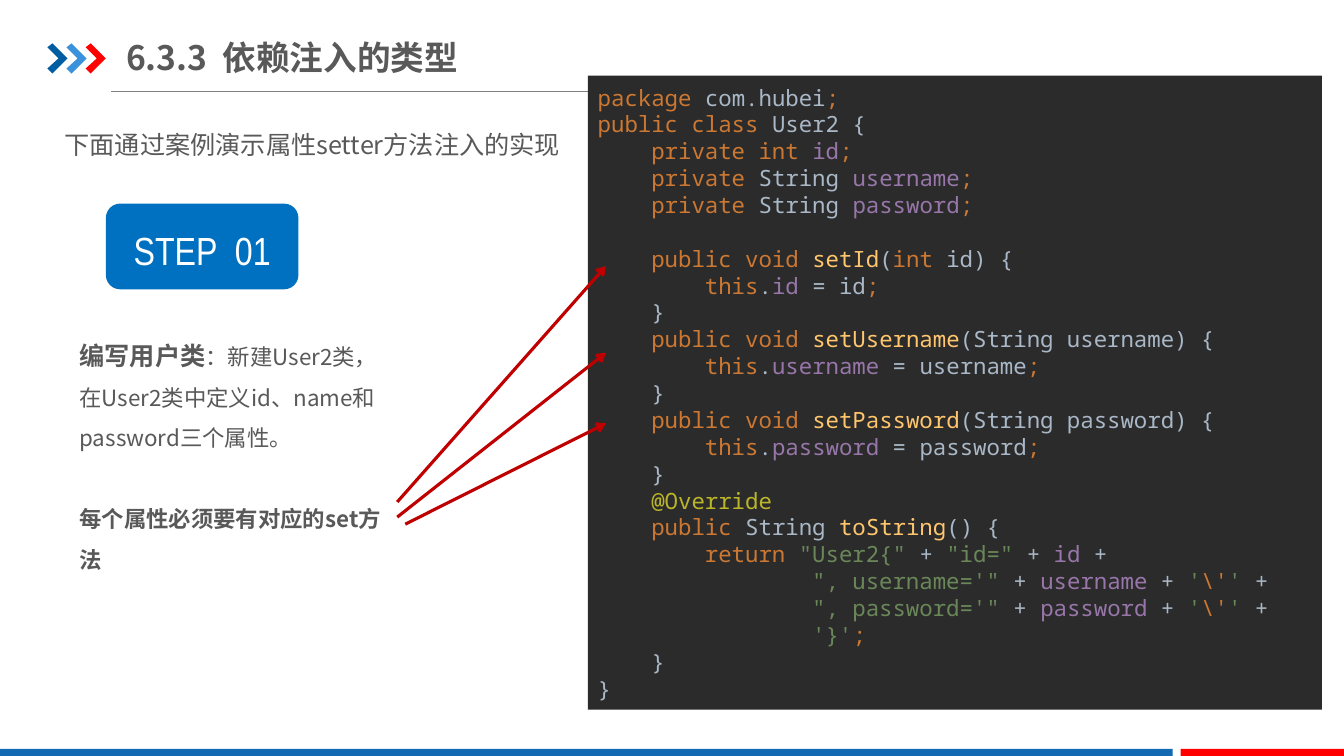
from typing import NamedTuple

from lxml import etree
from pptx import Presentation
from pptx.dml.color import RGBColor
from pptx.enum.shapes import MSO_CONNECTOR, MSO_SHAPE
from pptx.enum.text import MSO_ANCHOR, PP_ALIGN
from pptx.oxml.ns import qn
from pptx.util import Inches, Pt

STRAIGHT = MSO_CONNECTOR.STRAIGHT
RECTANGLE = MSO_SHAPE.RECTANGLE
ROUNDED = MSO_SHAPE.ROUNDED_RECTANGLE
MIDDLE, TOP = MSO_ANCHOR.MIDDLE, MSO_ANCHOR.TOP
LEFT, CENTER = PP_ALIGN.LEFT, PP_ALIGN.CENTER

SANS, MONO, NARROW = "Noto Sans CJK SC", "Noto Sans Mono", "Liberation Sans Narrow"
COLORS = {
    "rule": "808080", "navy": "005DA2", "sky": "3992DB", "red": "FF0000",
    "footer": "1369B2", "step": "0070C0", "white": "FFFFFF", "text": "595959",
    "editor": "2B2B2B", "arrow": "C00000", "keyword": "CC7832",
    "plain": "A9B7C6", "field": "9876AA", "method": "FFC66D",
    "string": "6A8759", "annotation": "BBB529",
}


class Token(NamedTuple):
    color: str
    text: str


class Line(NamedTuple):
    start: tuple[float, float]
    end: tuple[float, float]
    color: str
    width: float
    arrow: bool = False


class Block(NamedTuple):
    box: tuple[float, float, float, float]
    color: str
    kind: int = RECTANGLE


CodeLine = list[Token]
INDENT = " " * 4


def keyword(text: str) -> Token:
    return Token("keyword", text)


def plain(text: str) -> Token:
    return Token("plain", text)


def field(text: str) -> Token:
    return Token("field", text)


def string(text: str) -> Token:
    return Token("string", text)


def declaration(kind: Token, name: str) -> CodeLine:
    return [keyword(INDENT + "private "), kind, field(name), keyword(";")]


def setter(method: str, kind: Token, name: str) -> list[CodeLine]:
    return [
        [keyword(INDENT + "public void "), Token("method", method), plain("("),
         kind, plain(f"{name}) {{")],
        [keyword(INDENT * 2 + "this"), plain("."), field(f"{name} "),
         plain(f"= {name}"), keyword(";")],
        [plain(INDENT + "}")],
    ]


def printed_field(name: str) -> CodeLine:
    return [string(f"{INDENT * 4}\", {name}='\" "), plain("+ "), field(f"{name} "),
            plain("+ "), string("'"), keyword("\\'"), string("' "), plain("+")]


INT, STRING = keyword("int "), plain("String ")
FIELDS = [
    [keyword("package "), plain("com.hubei"), keyword(";")],
    [keyword("public class "), plain("User2 {")],
    declaration(INT, "id"),
    declaration(STRING, "username"),
    declaration(STRING, "password"),
]
METHODS = [
    *setter("setId", INT, "id"),
    *setter("setUsername", STRING, "username"),
    *setter("setPassword", STRING, "password"),
    [Token("annotation", INDENT + "@Override")],
    [keyword(INDENT + "public "), STRING, Token("method", "toString"), plain("() {")],
    [keyword(INDENT * 2 + "return "), string('"User2{" '), plain("+ "),
     string('"id=" '), plain("+ "), field("id "), plain("+")],
    printed_field("username"),
    printed_field("password"),
    [string(INDENT * 4 + "'}'"), keyword(";")],
    [plain(INDENT + "}")],
    [plain("}")],
]
HEADER_RULE = Line((1.1, 0.91), (12.55, 0.91), "rule", 0.5)
SETTER_ARROWS = [
    Line((3.94, 4.98), (6.01, 2.64), "arrow", 2.25, True),
    Line((3.94, 5.13), (6.01, 3.5), "arrow", 2.25, True),
    Line((4.02, 5.2), (6.01, 4.2), "arrow", 2.25, True),
]
FOOTER_BARS = [Block((0, 7.43, 11.63, 0.09), "footer"),
               Block((11.71, 7.43, 1.63, 0.09), "red")]
STEP_BADGE = Block((1.05, 2.02, 1.91, 0.85), "step", ROUNDED)
EDITOR = Block((5.83, 0.75, 7.28, 6.29), "editor")
CHEVRON = [(0, 0.04), (0.05, 0), (0.2, 0.15), (0.05, 0.3), (0, 0.25), (0.11, 0.15)]


def rgb(color: str) -> RGBColor:
    return RGBColor.from_string(COLORS[color])


def paint(shape, color: str) -> None:
    shape.shadow.inherit = False
    shape.fill.solid()
    shape.fill.fore_color.rgb = rgb(color)
    shape.line.fill.background()


def add_block(slide, block: Block):
    shape = slide.shapes.add_shape(block.kind, *map(Inches, block.box))
    paint(shape, block.color)
    return shape


def add_chevron(slide, left: float, color: str) -> None:
    points = [(Inches(left + x), Inches(0.43 + y)) for x, y in CHEVRON]
    builder = slide.shapes.build_freeform(*points[0])
    builder.add_line_segments(points[1:])
    paint(builder.convert_to_shape(), color)


def add_line(slide, line: Line) -> None:
    connector = slide.shapes.add_connector(
        STRAIGHT, *map(Inches, (*line.start, *line.end)))
    connector.line.color.rgb = rgb(line.color)
    connector.line.width = Pt(line.width)
    if line.arrow:
        outline = connector.line._get_or_add_ln()
        etree.SubElement(outline, qn("a:tailEnd"), type="arrow")
    etree.SubElement(connector._element.spPr, qn("a:effectLst"))


def add_run(paragraph, token: Token, size: float, face: str = SANS,
            bold: bool = False) -> None:
    run = paragraph.add_run()
    run.text = token.text
    font = run.font
    font.name, font.size, font.bold = face, Pt(size), bold
    font.color.rgb = rgb(token.color)
    etree.SubElement(run._r.get_or_add_rPr(), qn("a:ea"), typeface=face)


def add_code(paragraph, lines: list[CodeLine]) -> None:
    paragraph.alignment = LEFT
    for number, line in enumerate(lines):
        if number:
            paragraph.add_line_break()
        for token in line:
            add_run(paragraph, token, 16, MONO)


def add_textbox(slide, box: tuple[float, float, float, float]):
    frame = slide.shapes.add_textbox(*map(Inches, box)).text_frame
    frame.word_wrap = True
    frame.vertical_anchor = TOP
    return frame


def add_title(slide) -> None:
    title = slide.shapes.title
    title.left, title.top, title.width, title.height = map(
        Inches, (1.25, 0.29, 3.55, 0.55))
    frame = title.text_frame
    frame.margin_left = frame.margin_right = 0
    frame.vertical_anchor = MIDDLE
    frame.paragraphs[0].alignment = LEFT
    add_run(frame.paragraphs[0], Token("text", "6.3.3  依赖注入的类型"), 24, bold=True)


def add_explanation(slide) -> None:
    intro = add_textbox(slide, (0.54, 1.23, 5.18, 0.4))
    add_run(intro.paragraphs[0],
            Token("text", "下面通过案例演示属性setter方法注入的实现"), 18)
    frame = add_textbox(slide, (0.69, 3.18, 3.25, 2.57))
    task, rule = frame.paragraphs[0], frame.add_paragraph()
    task.line_spacing = rule.line_spacing = 1.5
    rule.space_before = Pt(29)
    add_run(task, Token("text", "编写用户类"), 18, bold=True)
    add_run(task, Token("text", "：新建User2类，在User2类中定义id、name和password三个属性。"), 16)
    add_run(rule, Token("text", "每个属性必须要有对应的set方法"), 16, bold=True)


def main() -> None:
    """Build the slide on setter injection and save it."""
    deck = Presentation()
    deck.slide_width, deck.slide_height = Inches(13.33), Inches(7.5)
    slide = deck.slides.add_slide(deck.slide_layouts[5])
    add_line(slide, HEADER_RULE)
    for position, color in enumerate(("navy", "sky", "red")):
        add_chevron(slide, 0.47 + 0.19 * position, color)
    for bar in FOOTER_BARS:
        add_block(slide, bar)
    add_title(slide)
    badge = add_block(slide, STEP_BADGE).text_frame
    badge.margin_top = Inches(0.12)
    badge.paragraphs[0].alignment = CENTER
    add_run(badge.paragraphs[0], Token("white", "STEP  01"), 28, NARROW)
    add_explanation(slide)
    editor = add_block(slide, EDITOR).text_frame
    editor.word_wrap = True
    editor.vertical_anchor = MIDDLE
    add_code(editor.paragraphs[0], FIELDS)
    methods = editor.add_paragraph()
    methods.space_before = Pt(19.2)
    add_code(methods, METHODS)
    for arrow in SETTER_ARROWS:
        add_line(slide, arrow)
    deck.save("out.pptx")


if __name__ == "__main__":
    main()
